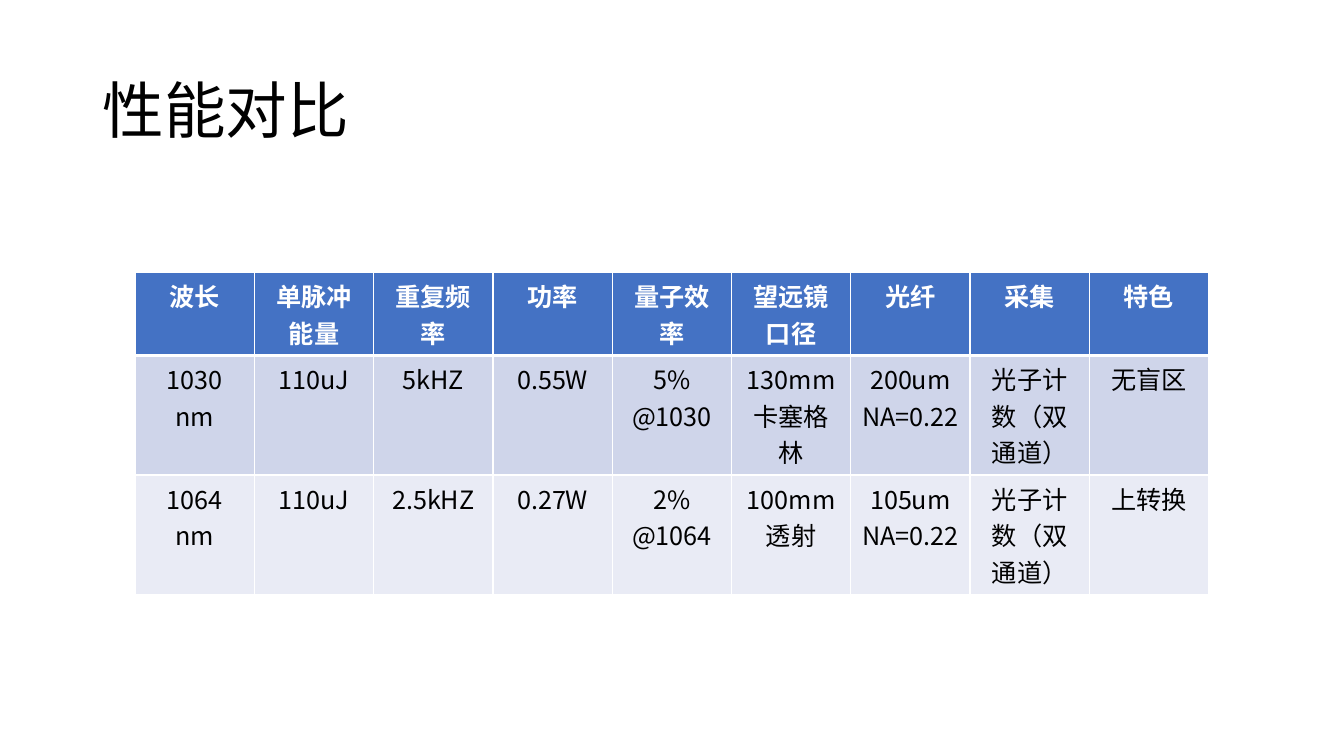
from lxml import etree
from pptx import Presentation
from pptx.dml.color import RGBColor
from pptx.enum.text import MSO_ANCHOR, MSO_AUTO_SIZE, PP_ALIGN
from pptx.oxml.ns import qn
from pptx.util import Pt

LEFT, CENTER = PP_ALIGN.LEFT, PP_ALIGN.CENTER
MIDDLE = MSO_ANCHOR.MIDDLE
NO_AUTOFIT = MSO_AUTO_SIZE.NONE
TITLE_ONLY = 5

FONT = "Noto Sans CJK SC"
BLACK, WHITE = "000000", "FFFFFF"
ROW_FILLS = ["4472C4", "CFD5EA", "E9EBF5"]
COL_WIDTH, ROW_HEIGHT = 85.2, 52.7

ROWS = [
    ["波长", "单脉冲能量", "重复频率", "功率", "量子效率",
     "望远镜口径", "光纤", "采集", "特色"],
    ["1030 nm", "110uJ", "5kHZ", "0.55W", "5% @1030",
     "130mm\n卡塞格林", "200um\nNA=0.22", "光子计数（双通道）", "无盲区"],
    ["1064 nm", "110uJ", "2.5kHZ", "0.27W", "2% @1064",
     "100mm\n透射", "105um\nNA=0.22", "光子计数（双通道）", "上转换"],
]


def rgb(color):
    return RGBColor.from_string(color)


def set_text(tf, text, size=18, color=BLACK, bold=False, align=CENTER,
             line_spacing=None):
    """Fill a text frame, one paragraph for each line of text."""
    for i, line in enumerate(text.split("\n")):
        p = tf.paragraphs[0] if i == 0 else tf.add_paragraph()
        p.alignment = align
        p.line_spacing = line_spacing
        r = p.add_run()
        r.text = line
        r.font.name = FONT
        r.font.size = Pt(size)
        r.font.bold = bold
        r.font.color.rgb = rgb(color)
        # East Asian typeface
        etree.SubElement(r.font._element, qn("a:ea"), typeface=FONT)


def set_borders(cell, **widths):
    """Draw white borders; keys are the sides L, R, T and B."""
    tcPr = cell._tc.get_or_add_tcPr()
    for side, width in widths.items():
        ln = etree.SubElement(tcPr, qn(f"a:ln{side}"), w=str(Pt(width)))
        fill = etree.SubElement(ln, qn("a:solidFill"))
        etree.SubElement(fill, qn("a:srgbClr"), val=WHITE)


def add_title(s, text):
    sp = s.shapes.title
    sp.left, sp.top, sp.width, sp.height = Pt(66), Pt(28.75), Pt(828), Pt(104.4)
    tf = sp.text_frame
    tf.word_wrap = True
    tf.auto_size = NO_AUTOFIT
    tf.vertical_anchor = MIDDLE
    set_text(tf, text, size=44, align=LEFT, line_spacing=0.9)


def add_comparison_table(s, rows, left, top):
    n_rows, n_cols = len(rows), len(rows[0])
    table = s.shapes.add_table(n_rows, n_cols, Pt(left), Pt(top),
                               Pt(COL_WIDTH * n_cols),
                               Pt(ROW_HEIGHT * n_rows)).table
    for col in table.columns:
        col.width = Pt(COL_WIDTH)
    for i, values in enumerate(rows):
        table.rows[i].height = Pt(ROW_HEIGHT)
        header = i == 0
        for j, text in enumerate(values):
            cell = table.cell(i, j)
            # A thick line parts the header from the body
            set_borders(cell, L=1, R=1, T=3 if i == 1 else 1,
                        B=3 if header else 1)
            cell.fill.solid()
            cell.fill.fore_color.rgb = rgb(ROW_FILLS[i])
            set_text(cell.text_frame, text, bold=header,
                     color=WHITE if header else BLACK)


def main():
    prs = Presentation()
    prs.slide_width, prs.slide_height = Pt(960), Pt(540)
    s = prs.slides.add_slide(prs.slide_layouts[TITLE_ONLY])
    add_title(s, "性能对比")
    add_comparison_table(s, ROWS, left=96.6, top=194.6)
    prs.save("out.pptx")


if __name__ == "__main__":
    main()
